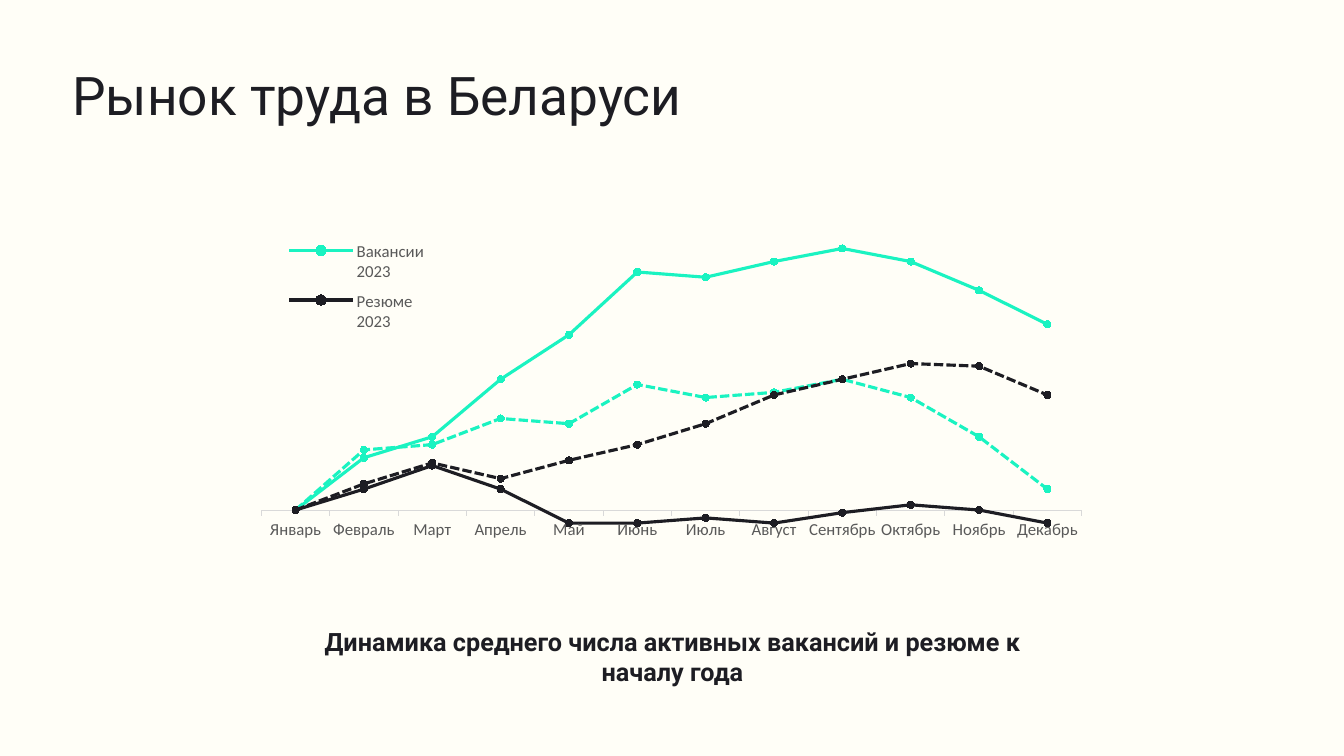
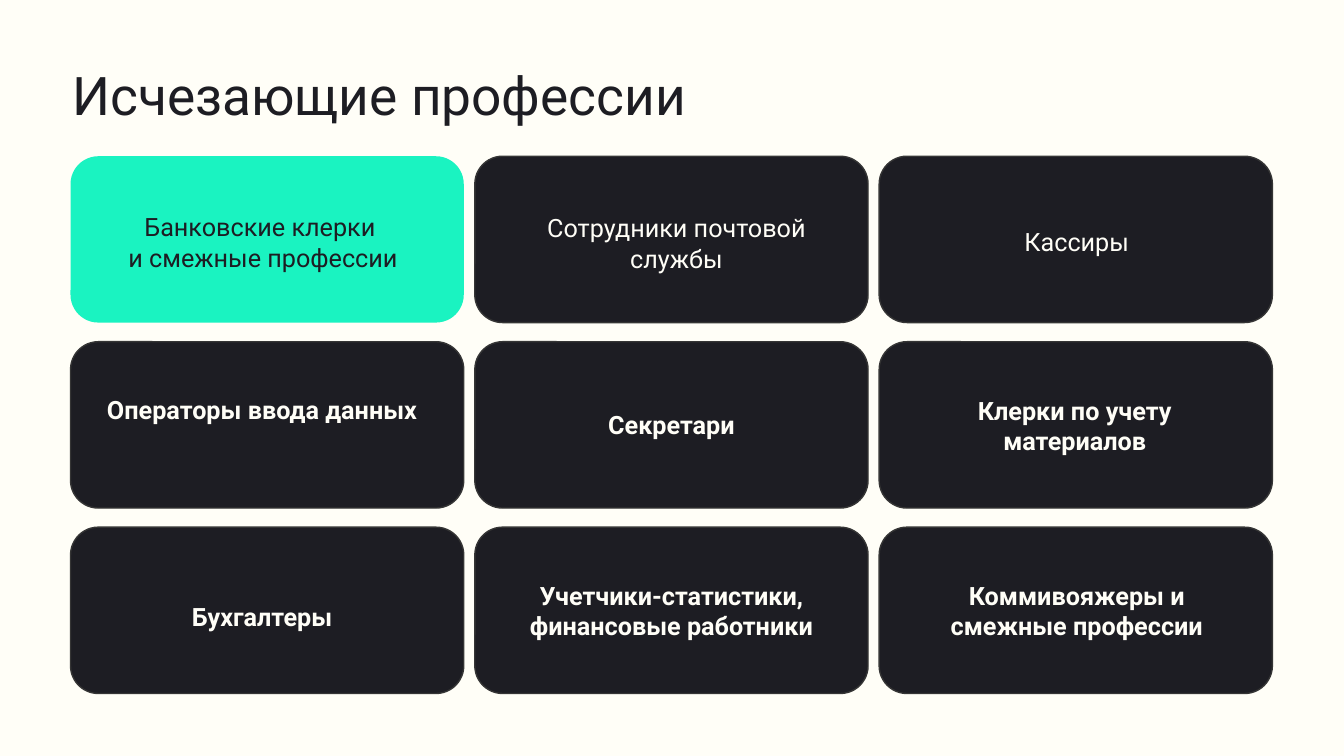
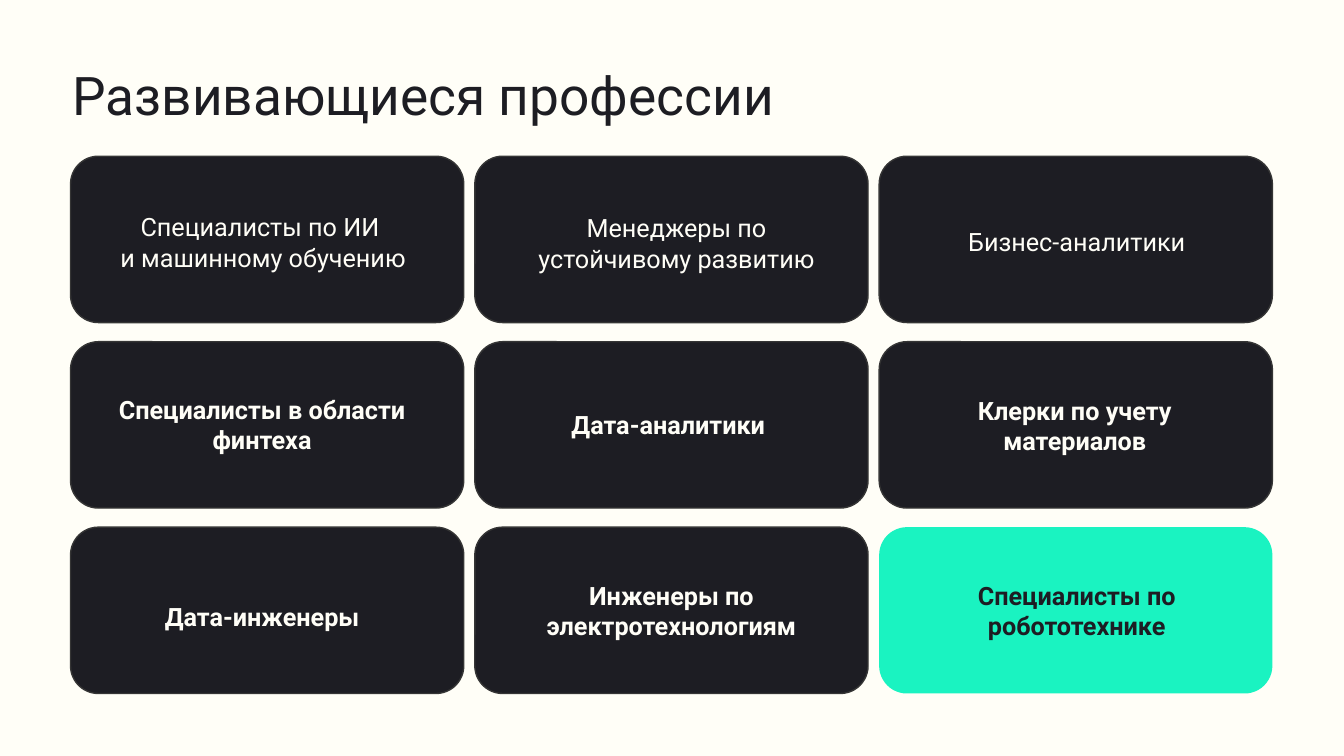
from dataclasses import dataclass

from lxml.etree import SubElement
from pptx import Presentation
from pptx.chart.data import CategoryChartData
from pptx.dml.color import RGBColor as Rgb
from pptx.enum.chart import XL_CHART_TYPE as ChartType
from pptx.enum.chart import XL_LEGEND_POSITION as LegendPosition
from pptx.enum.chart import XL_MARKER_STYLE as MarkerStyle
from pptx.enum.chart import XL_TICK_MARK as TickMark
from pptx.enum.dml import MSO_LINE as Dash
from pptx.enum.shapes import MSO_SHAPE as Preset
from pptx.enum.text import MSO_AUTO_SIZE as AutoSize
from pptx.enum.text import PP_ALIGN as Align
from pptx.oxml.ns import qn
from pptx.util import Pt

EMU_PER_PX = 9144


@dataclass(frozen=True)
class Theme:
    paper: Rgb = Rgb.from_string("FFFEF7")
    ink: Rgb = Rgb.from_string("1D1D23")
    accent: Rgb = Rgb.from_string("1AF3C1")
    border: Rgb = Rgb.from_string("353535")
    axis_text: Rgb = Rgb.from_string("595959")
    axis_line: Rgb = Rgb.from_string("D9D9D9")
    font: str = "Roboto"
    chart_font: str = "Calibri"
    title_size: float = 38
    body_size: float = 18
    chart_size: float = 12
    border_width: float = 1
    axis_width: float = 0.75
    series_width: float = 2.25
    marker_size: int = 5


MONTHS = ["Январь", "Февраль", "Март", "Апрель", "Май", "Июнь", "Июль",
          "Август", "Сентябрь", "Октябрь", "Ноябрь", "Декабрь"]
JOB_MARKET = [
    ("Вакансии 2023", [0, 20, 28, 50, 67, 91, 89, 95, 100, 95, 84, 71]),
    ("Резюме 2023", [0, 8, 17, 8, -5, -5, -3, -5, -1, 2, 0, -5]),
    ("", [0, 23, 25, 35, 33, 48, 43, 45, 50, 43, 28, 8]),
    ("", [0, 10, 18, 12, 19, 25, 33, 44, 50, 56, 55, 44]),
]

VANISHING = [
    "Банковские клерки \nи смежные профессии", "Сотрудники почтовой службы", "Кассиры",
    "Операторы ввода данных", "Секретари", "Клерки по учету материалов",
    "Бухгалтеры", "Учетчики-статистики, финансовые работники",
    "Коммивояжеры и смежные профессии",
]
GROWING = [
    "Специалисты по ИИ \nи машинному обучению", "Менеджеры по устойчивому развитию",
    "Бизнес-аналитики",
    "Специалисты в области финтеха", "Дата-аналитики ", "Клерки по учету материалов",
    "Дата-инженеры", "Инженеры по электротехнологиям", "Специалисты по робототехнике",
]

CARD_COLUMNS = 3
CARD_LEFT, CARD_TOP = 70, 155
CARD_WIDTH, CARD_HEIGHT = 390, 165
CARD_STEP_X, CARD_STEP_Y = 401, 184
LABEL_BOXES = [
    (106, 205, 310, 71), (498, 206, 346, 71), (895, 220, 346, 40),
    (95, 386, 330, 71), (493, 401, 346, 40), (893, 387, 346, 71),
    (87, 592, 346, 40), (493, 571, 346, 71), (895, 571, 346, 71),
]


def px(*lengths):
    return [length * EMU_PER_PX for length in lengths]


def chart_layout(parent, index, x, y, w, h, inner=False):
    for stale in parent.findall(qn("c:layout")):
        parent.remove(stale)
    layout = parent.makeelement(qn("c:layout"), {})
    parent.insert(index, layout)
    manual = SubElement(layout, qn("c:manualLayout"))
    settings = {"layoutTarget": "inner"} if inner else {}
    settings.update(xMode="edge", yMode="edge", x=x, y=y, w=w, h=h)
    for tag, value in settings.items():
        SubElement(manual, qn(f"c:{tag}")).set("val", str(value))


class Deck:
    def __init__(self, theme):
        self.theme = theme
        self.presentation = Presentation()
        self.presentation.slide_width, self.presentation.slide_height = px(1333, 750)
        backdrop = self.presentation.slide_master.background.fill
        backdrop.solid()
        backdrop.fore_color.rgb = theme.paper
        self.slide = None

    def start(self, title):
        blank = self.presentation.slide_layouts[6]
        self.slide = self.presentation.slides.add_slide(blank)
        self.text(title, (62, 57, 1104, 74), size=self.theme.title_size, align=Align.LEFT)

    def text(self, wording, box, size=None, color=None, bold=False, align=Align.CENTER):
        frame = self.slide.shapes.add_textbox(*px(*box)).text_frame
        frame.word_wrap = True
        frame.auto_size = AutoSize.SHAPE_TO_FIT_TEXT
        frame.text = wording
        for paragraph in frame.paragraphs:
            paragraph.alignment = align
            for run in paragraph.runs:
                run.font.name = self.theme.font
                run.font.size = Pt(size or self.theme.body_size)
                run.font.bold = bold
                run.font.color.rgb = color or self.theme.ink

    def card(self, box, fill):
        card = self.slide.shapes.add_shape(Preset.ROUNDED_RECTANGLE, *px(*box))
        card.shadow.inherit = False
        card.fill.solid()
        card.fill.fore_color.rgb = fill
        if fill == self.theme.accent:
            card.line.fill.background()
        else:
            card.line.color.rgb = self.theme.border
            card.line.width = Pt(self.theme.border_width)

    def card_grid(self, professions, highlighted):
        for index, (profession, label_box) in enumerate(zip(professions, LABEL_BOXES)):
            row, column = divmod(index, CARD_COLUMNS)
            fill, color = self.theme.ink, self.theme.paper
            if index == highlighted:
                fill, color = self.theme.accent, self.theme.ink
            self.card((CARD_LEFT + column * CARD_STEP_X, CARD_TOP + row * CARD_STEP_Y,
                       CARD_WIDTH, CARD_HEIGHT), fill)
            self.text(profession, label_box, color=color, bold=row > 0)

    def line_chart(self, box, months, market):
        data = CategoryChartData()
        data.categories = months
        for name, values in market:
            data.add_series(name, values)
        chart = self.slide.shapes.add_chart(ChartType.LINE_MARKERS, *px(*box), data).chart
        chart.has_title = False
        chart.font.name = self.theme.chart_font
        chart.font.size = Pt(self.theme.chart_size)
        chart.font.color.rgb = self.theme.axis_text
        chart.plots[0].vary_by_categories = False
        unnamed = [index for index, (name, _) in enumerate(market) if not name]
        for index, series in enumerate(chart.plots[0].series):
            color = (self.theme.accent, self.theme.ink)[index % 2]
            self.style_series(series, color, dashed=index in unnamed)
        self.style_axes(chart)
        self.style_legend(chart, unnamed)
        chart_layout(chart.plots[0]._element.getparent(), 0, 0.018, 0.042, 0.964, 0.838, True)

    def style_series(self, series, color, dashed):
        series.smooth = False
        series.format.line.color.rgb = color
        series.format.line.width = Pt(self.theme.series_width)
        if dashed:
            series.format.line.dash_style = Dash.SQUARE_DOT
        series.marker.style = MarkerStyle.CIRCLE
        series.marker.size = self.theme.marker_size
        series.marker.format.fill.solid()
        series.marker.format.fill.fore_color.rgb = color
        series.marker.format.line.color.rgb = color

    def style_axes(self, chart):
        chart.value_axis.visible = False
        chart.value_axis.has_major_gridlines = False
        chart.value_axis.minimum_scale = -17
        chart.value_axis.maximum_scale = 117
        month_axis = chart.category_axis
        month_axis.major_tick_mark = TickMark.OUTSIDE
        month_axis.format.line.color.rgb = self.theme.axis_line
        month_axis.format.line.width = Pt(self.theme.axis_width)

    def style_legend(self, chart, unnamed):
        chart.has_legend = True
        chart.legend.position = LegendPosition.LEFT
        chart.legend.include_in_layout = False
        legend = chart.legend._element
        for position, series_index in enumerate(unnamed, start=1):
            entry = legend.makeelement(qn("c:legendEntry"), {})
            SubElement(entry, qn("c:idx")).set("val", str(series_index))
            SubElement(entry, qn("c:delete")).set("val", "1")
            legend.insert(position, entry)
        chart_layout(legend, len(unnamed) + 1, 0.04, 0.11, 0.18, 0.26)


def main():
    deck = Deck(Theme())
    deck.start("Рынок труда в Беларуси")
    deck.line_chart((244, 185, 844, 415), MONTHS, JOB_MARKET)
    deck.text("Динамика среднего числа активных вакансий и резюме к началу года",
              (288, 616, 758, 71), bold=True)
    deck.start("Исчезающие профессии")
    deck.card_grid(VANISHING, highlighted=0)
    deck.start("Развивающиеся профессии")
    deck.card_grid(GROWING, highlighted=8)
    deck.presentation.save("out.pptx")


if __name__ == "__main__":
    main()
